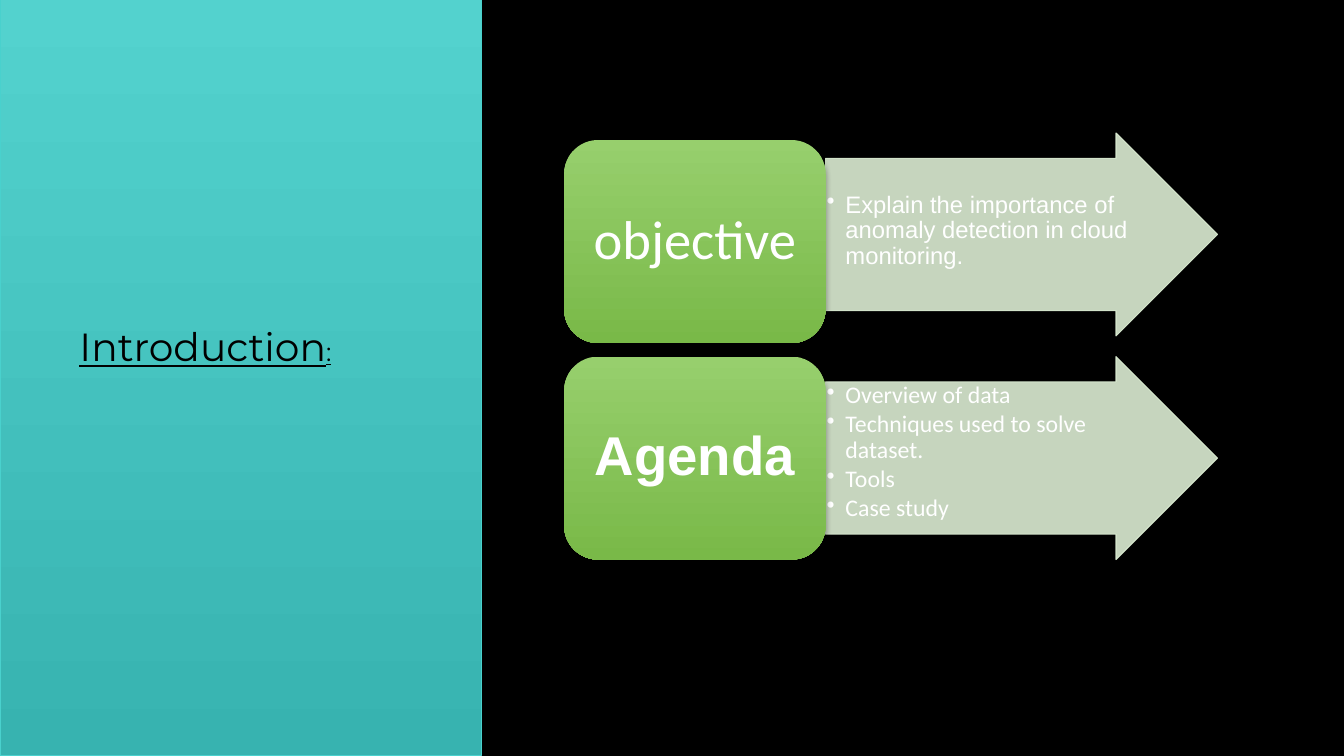
"""Build the Introduction slide with its objective and agenda rows."""
from dataclasses import dataclass

from lxml import etree
from pptx import Presentation
from pptx.dml.color import RGBColor
from pptx.enum.shapes import MSO_SHAPE as SHAPE
from pptx.enum.text import MSO_ANCHOR as ANCHOR, PP_ALIGN as ALIGN
from pptx.oxml.ns import qn
from pptx.util import Pt


@dataclass(frozen=True)
class Theme:
    background: str = "000000"
    teal: tuple = ("53D2CE", "37B3B0")
    teal_line: str = "49D1CD"
    green: tuple = ("97CF6D", "79B948")
    arrow: str = "DCEDD3"
    light: str = "FFFFFF"
    dark: str = "000000"
    title_size: int = 28
    colon_size: int = 18
    label_size: int = 39
    bullet_size: int = 17
    title_font: str = "Montserrat"


THEME = Theme()


def rgb(value):
    return RGBColor.from_string(value)


def set_alpha(color, percent):
    etree.SubElement(color, qn("a:alpha"), val=str(percent * 1000))


def add_shadow(sp):
    sp.shadow.inherit = False
    effects = sp._element.spPr.find(qn("a:effectLst"))
    shadow = etree.SubElement(effects, qn("a:outerShdw"), blurRad=str(Pt(4)),
                              dist=str(Pt(3)), dir="5400000", rotWithShape="0")
    set_alpha(etree.SubElement(shadow, qn("a:srgbClr"), val="000000"), 35)


def add_panel(slide, kind, box, colors, line=None):
    sp = slide.shapes.add_shape(kind, *map(Pt, box))
    sp.fill.gradient()
    sp.fill.gradient_angle = 270
    for stop, position, color in zip(sp.fill.gradient_stops, (0, 1), colors):
        stop.position = position
        stop.color.rgb = rgb(color)
    if line:
        sp.line.color.rgb = rgb(line)
        sp.line.width = Pt(0.75)
    else:
        sp.line.fill.background()
    add_shadow(sp)


def add_arrow(slide, box):
    sp = slide.shapes.add_shape(SHAPE.RIGHT_ARROW, *map(Pt, box))
    sp.adjustments[0], sp.adjustments[1] = 0.75, 0.5
    sp.fill.solid()
    sp.fill.fore_color.rgb = rgb(THEME.arrow)
    sp.line.color.rgb = rgb(THEME.arrow)
    sp.line.width = Pt(0.75)
    for color in sp._element.spPr.iter(qn("a:srgbClr")):
        set_alpha(color, 90)
    add_shadow(sp)


def add_text_frame(slide, box, margins, anchor=ANCHOR.TOP):
    tf = slide.shapes.add_textbox(*map(Pt, box)).text_frame
    tf.word_wrap = True
    tf.vertical_anchor = anchor
    tf.margin_left = tf.margin_right = Pt(margins[0])
    tf.margin_top = tf.margin_bottom = Pt(margins[1])
    return tf


def style_run(r, font, size, color, bold=False, underline=False):
    r.font.name = font
    r.font.size = Pt(size)
    r.font.color.rgb = rgb(color)
    r.font.bold = bold
    r.font.underline = underline


def add_label(slide, box, text, font, bold):
    tf = add_text_frame(slide, box, (11.5, 5.8), ANCHOR.MIDDLE)
    tf.text = text
    p = tf.paragraphs[0]
    p.alignment = ALIGN.CENTER
    p.line_spacing = 0.9
    style_run(p.runs[0], font, THEME.label_size, THEME.light, bold)


def add_bullets(slide, box, items, font):
    tf = add_text_frame(slide, box, (0.7, 0.7))
    tf.text = "\n".join(items)
    for p in tf.paragraphs:
        p.line_spacing = 0.9
        p.space_after = Pt(2.5)
        pPr = p._p.get_or_add_pPr()
        pPr.set("marL", str(Pt(13.5)))
        pPr.set("indent", str(Pt(-13.5)))
        etree.SubElement(pPr, qn("a:buChar"), char="•")
        style_run(p.runs[0], font, THEME.bullet_size, THEME.light)


def add_row(slide, arrow_top, box_top, bullets_top, label, label_font, bold,
            items, item_font):
    add_arrow(slide, (589.7, arrow_top, 280, 145))
    add_bullets(slide, (589.7, bullets_top, 226, 109), items, item_font)
    add_panel(slide, SHAPE.ROUNDED_RECTANGLE, (403, box_top, 186.7, 145),
              THEME.green)
    add_label(slide, (410, box_top + 7, 172.7, 131), label, label_font, bold)


def add_title(slide):
    tf = add_text_frame(slide, (49.7, 226.8, 229, 41), (7.2, 3.6))
    p = tf.paragraphs[0]
    for text, size in (("Introduction", THEME.title_size),
                       (":", THEME.colon_size)):
        r = p.add_run()
        r.text = text
        style_run(r, THEME.title_font, size, THEME.dark, underline=True)


def main():
    prs = Presentation()
    prs.slide_width, prs.slide_height = Pt(960), Pt(540)
    slide = prs.slides.add_slide(prs.slide_layouts[6])
    slide.background.fill.solid()
    slide.background.fill.fore_color.rgb = rgb(THEME.background)
    add_row(slide, 95, 100, 136.8, "objective", "Calibri", False,
            ["Explain the importance of anomaly detection in cloud monitoring."],
            "Arial")
    add_row(slide, 254.7, 254.7, 272.8, "Agenda", "Arial", True,
            ["Overview of data", "Techniques used to solve dataset.",
             "Tools", "Case study"], "Calibri")
    add_panel(slide, SHAPE.RECTANGLE, (0, 0, 343.7, 540), THEME.teal,
              THEME.teal_line)
    add_title(slide)
    prs.save("out.pptx")


if __name__ == "__main__":
    main()
